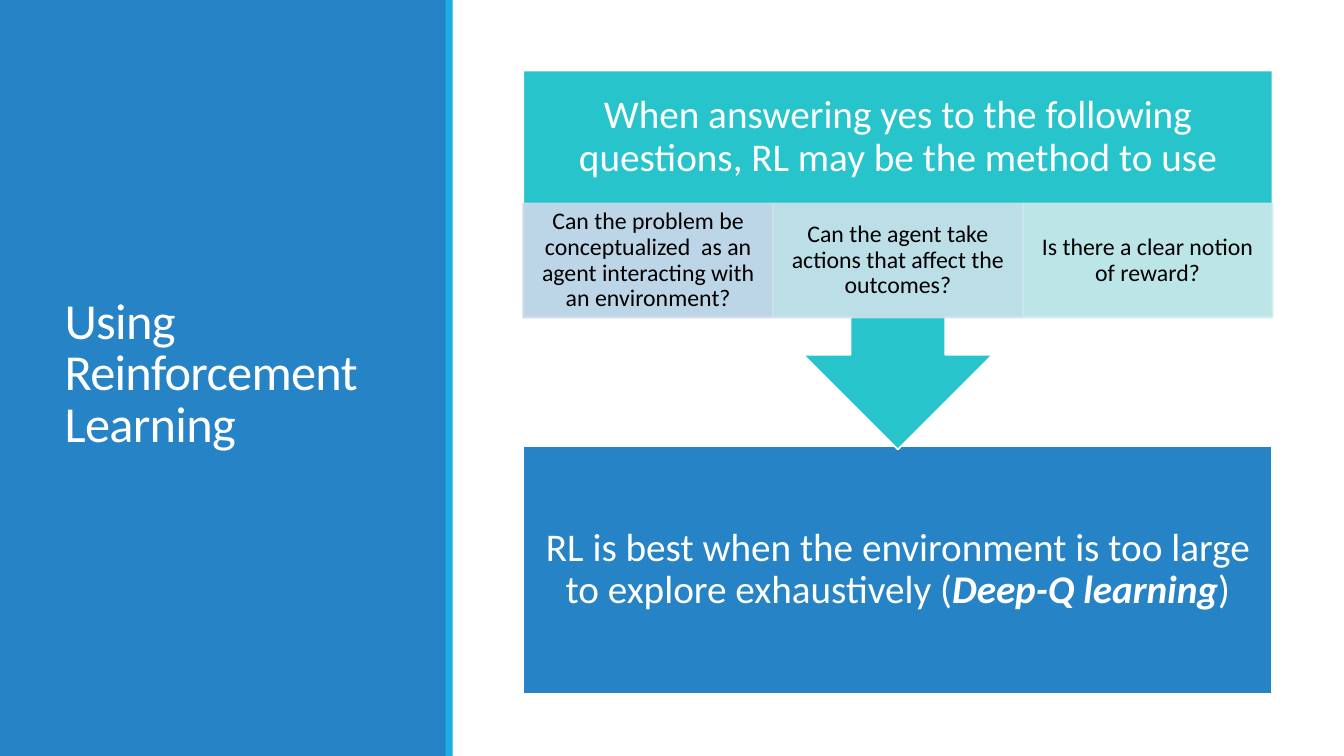
from lxml import etree
from pptx import Presentation
from pptx.dml.color import RGBColor
from pptx.enum.shapes import MSO_SHAPE
from pptx.enum.text import MSO_ANCHOR, MSO_AUTO_SIZE, PP_ALIGN
from pptx.oxml.ns import qn
from pptx.util import Inches, Pt

RECT = MSO_SHAPE.RECTANGLE
CALLOUT = MSO_SHAPE.UP_ARROW_CALLOUT
MIDDLE = MSO_ANCHOR.MIDDLE
NO_FIT = MSO_AUTO_SIZE.NONE
LEFT, CENTER = PP_ALIGN.LEFT, PP_ALIGN.CENTER

WHITE, BLACK = "FFFFFF", "000000"
BLUE, SKY, TEAL = "2683C6", "1CADE4", "28C4CC"

FLOW_LEFT, FLOW_WIDTH = 5.19, 7.43
CALLOUT_TOP, CALLOUT_HEIGHT = 0.7, 3.76
HEADING_HEIGHT = 1.32
QUESTION_TOP, QUESTION_HEIGHT = 2.02, 1.13
QUESTIONS = [
    ("Can the problem be conceptualized  as an agent interacting with an environment?", "CDD9EA"),
    ("Can the agent take actions that affect the outcomes?", "CDE1EB"),
    ("Is there a clear notion of reward?", "CDE9EC"),
]


def paint(color_format, color, alpha=None):
    """Set a colour from a hex string, with optional opacity in percent."""
    color_format.rgb = RGBColor.from_string(color)


def set_opacity(shape, percent):
    """Apply one opacity to the fill and the line of a shape."""
    for color in shape.element.spPr.iter(qn("a:srgbClr")):
        etree.SubElement(color, qn("a:alpha"), val=str(percent * 1000))


class SlideBuilder:
    """Holds the text style and the current slide."""

    font = "Calibri"

    def __init__(self, page):
        self.page = page

    def shape(self, kind, left, top, width, height, fill, line=None):
        shape = self.page.shapes.add_shape(
            kind, Inches(left), Inches(top), Inches(width), Inches(height))
        shape.shadow.inherit = False
        shape.fill.solid()
        paint(shape.fill.fore_color, fill)
        if line:
            paint(shape.line.color, line)
            shape.line.width = Pt(1.25)
        else:
            shape.line.fill.background()
        return shape

    def text(self, box, spans, size, color=WHITE, inset=(0.22, 0.22),
             align=CENTER, spacing=0.9):
        """Fill a box with one paragraph of (text, font format) spans."""
        frame = box.text_frame
        side, end = (Inches(value) for value in inset)
        frame_format = {
            "word_wrap": True, "auto_size": NO_FIT, "vertical_anchor": MIDDLE,
            "margin_left": side, "margin_right": side,
            "margin_top": end, "margin_bottom": end,
        }
        for name, value in frame_format.items():
            setattr(frame, name, value)
        para = frame.paragraphs[0]
        para.alignment = align
        para.line_spacing = spacing
        for words, extra in spans:
            span = para.add_run()
            span.text = words
            font_format = {"name": self.font, "size": Pt(size), **extra}
            for name, value in font_format.items():
                setattr(span.font, name, value)
            paint(span.font.color, color)
        return para

    def text_box(self, left, top, width, height, spans, size):
        box = self.page.shapes.add_textbox(
            Inches(left), Inches(top), Inches(width), Inches(height))
        self.text(box, spans, size)

    def title(self, left, top, width, height, words):
        title = self.page.shapes.title
        place = {"left": left, "top": top, "width": width, "height": height}
        for name, value in place.items():
            setattr(title, name, Inches(value))
        para = self.text(title, [(words, {})], 36, inset=(0.1, 0.05),
                         align=LEFT, spacing=0.85)
        para.runs[0].font._element.set("spc", "-50")
        # Bring the title in front of the side panel
        self.page.shapes.element.append(title.element)


def main():
    deck = Presentation()
    deck.slide_width, deck.slide_height = Inches(13.33), Inches(7.5)
    slide = SlideBuilder(deck.slides.add_slide(deck.slide_layouts[5]))

    slide.shape(RECT, 0, 0, 4.43, 7.5, BLUE)
    slide.title(0.54, 0.57, 3.37, 6.31, "Using Reinforcement Learning")
    slide.shape(RECT, 4.42, 0, 0.07, 7.5, SKY)

    conclusion = slide.shape(RECT, FLOW_LEFT, 4.43, FLOW_WIDTH, 2.45, BLUE, WHITE)
    slide.text(conclusion, [
        ("RL is best when the environment is too large to explore exhaustively (", {}),
        ("Deep-Q learning", {"bold": True, "italic": True}),
        (")", {}),
    ], 28)

    callout = slide.shape(CALLOUT, FLOW_LEFT, CALLOUT_TOP, FLOW_WIDTH,
                          CALLOUT_HEIGHT, TEAL, WHITE)
    callout.rotation = 180
    slide.text_box(FLOW_LEFT, CALLOUT_TOP, FLOW_WIDTH, HEADING_HEIGHT, [
        ("When answering yes to the following questions, RL may be the method to use", {}),
    ], 28)

    width = FLOW_WIDTH / len(QUESTIONS)
    for index, (question, color) in enumerate(QUESTIONS):
        cell = slide.shape(RECT, FLOW_LEFT + index * width, QUESTION_TOP, width,
                           QUESTION_HEIGHT, color, color)
        set_opacity(cell, 90)
        slide.text(cell, [(question, {})], 17, BLACK, inset=(0.13, 0.02))

    deck.save("out.pptx")


if __name__ == "__main__":
    main()
